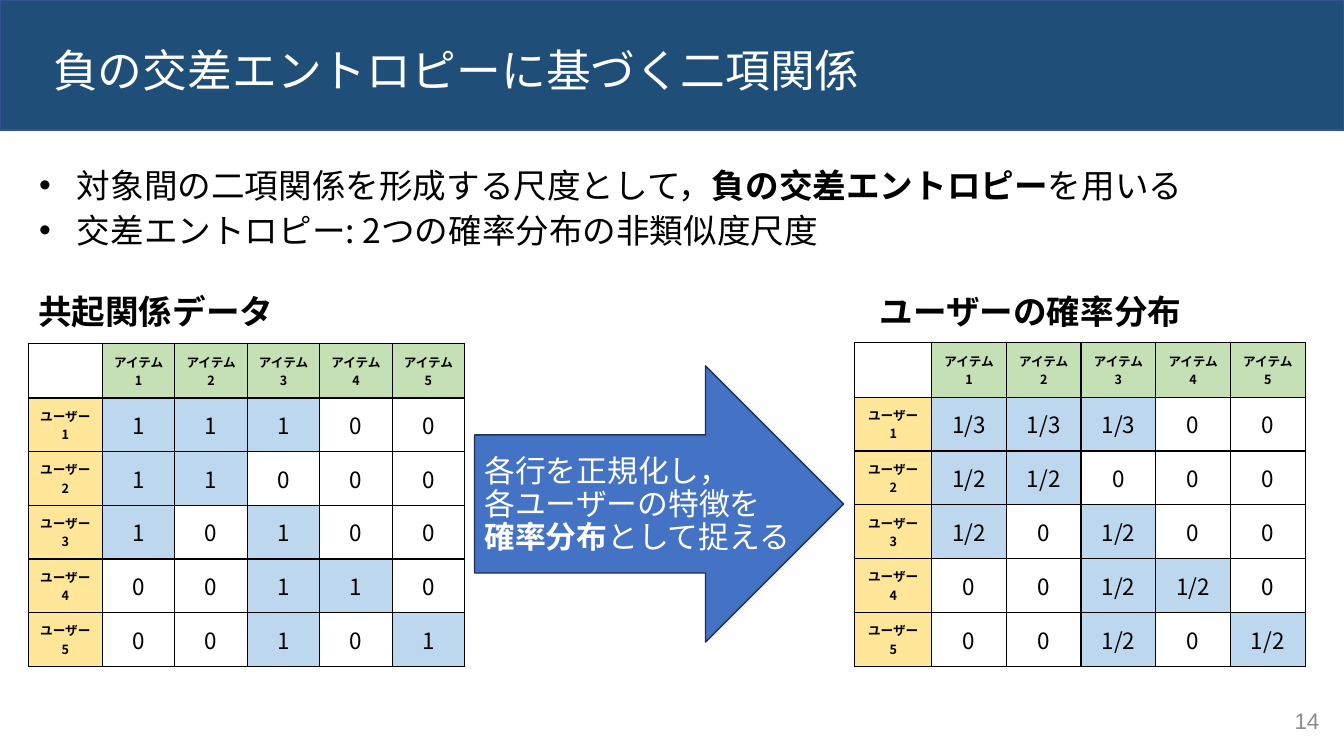
from dataclasses import dataclass
from typing import Optional

from lxml.etree import SubElement
from pptx import Presentation
from pptx.dml.color import RGBColor
from pptx.enum.shapes import MSO_SHAPE
from pptx.enum.text import MSO_ANCHOR, PP_ALIGN
from pptx.oxml.ns import qn
from pptx.util import Cm, Pt


@dataclass(frozen=True)
class Theme:
    japanese: str = "Noto Sans CJK JP"
    latin: str = "Arial"
    banner: str = "1F4E79"
    banner_edge: str = "325491"
    arrow: str = "4472C4"
    arrow_edge: str = "1E3256"
    item: str = "C5E0B4"
    user: str = "FFE699"
    related: str = "BDD7EE"
    black: str = "000000"
    white: str = "FFFFFF"
    gray: str = "8C8C8C"
    title_size: float = 32
    body_size: float = 24
    arrow_size: float = 22
    value_size: float = 16
    label_size: float = 9


@dataclass(frozen=True)
class Box:
    left: float
    top: float
    width: float
    height: float

    def emu(self) -> tuple:
        return Cm(self.left), Cm(self.top), Cm(self.width), Cm(self.height)


@dataclass(frozen=True)
class Style:
    size: float
    color: str
    font: str
    bold: bool = False


@dataclass(frozen=True)
class Caption:
    """Text box; each paragraph is a list of (text, bold) runs."""
    box: Box
    style: Style
    paragraphs: list
    wrap: bool = True
    anchor: MSO_ANCHOR = MSO_ANCHOR.TOP
    align: PP_ALIGN = PP_ALIGN.LEFT
    spacing: Optional[float] = None
    gap: float = 0
    bullets: bool = False


@dataclass(frozen=True)
class Matrix:
    box: Box
    label_width: float
    values: list


THEME = Theme()
BODY = Style(THEME.body_size, THEME.black, THEME.japanese)
HEADING = Style(THEME.body_size, THEME.black, THEME.japanese, True)
LABEL = Style(THEME.label_size, THEME.black, THEME.japanese, True)
VALUE = Style(THEME.value_size, THEME.black, THEME.japanese)
HEADER_HEIGHT = 1.37

COOCCURRENCE = [
    [1, 1, 1, 0, 0],
    [1, 1, 0, 0, 0],
    [1, 0, 1, 0, 0],
    [0, 0, 1, 1, 0],
    [0, 0, 1, 0, 1],
]
# Each row is normalised by its sum
PROBABILITY = [[f"1/{sum(row)}" if hit else 0 for hit in row]
               for row in COOCCURRENCE]

MATRICES = [
    Matrix(Box(0.71, 8.66, 11, 8.13), 1.87, COOCCURRENCE),
    Matrix(Box(21.54, 8.64, 11.35, 8.15), 1.94, PROBABILITY),
]

BACK_CAPTIONS = [
    Caption(Box(1.09, 0.41, 31.8, 2.87),
            Style(THEME.title_size, THEME.white, THEME.japanese),
            [[("負の交差エントロピーに基づく二項関係", False)]],
            anchor=MSO_ANCHOR.MIDDLE, spacing=0.9),
    Caption(Box(25.88, 17.65, 7.62, 1.02),
            Style(16, THEME.gray, THEME.latin), [[("14", False)]],
            anchor=MSO_ANCHOR.MIDDLE, align=PP_ALIGN.RIGHT),
    Caption(Box(0.74, 4.04, 29.69, 2.64), BODY,
            [[("対象間の二項関係を形成する尺度として，", False),
              ("負の交差エントロピー", True), ("を用いる", False)],
             [("交差エントロピー: 2つの確率分布の非類似度尺度", False)]],
            wrap=False, gap=3, bullets=True),
    Caption(Box(0.71, 7.21, 6.5, 1.27), HEADING,
            [[("共起関係データ", True)]], wrap=False),
    Caption(Box(21.92, 7.21, 8.2, 1.27), HEADING,
            [[("ユーザーの確率分布", True)]], wrap=False),
]
ARROW_CAPTION = Caption(
    Box(11.96, 11.35, 8.28, 2.84),
    Style(THEME.arrow_size, THEME.white, THEME.japanese),
    [[("各行を正規化し，", False)],
     [("各ユーザーの特徴を", False)],
     [("確率分布", True), ("として捉える", False)]],
    spacing=Pt(23.6))


def rgb(color: str) -> RGBColor:
    return RGBColor.from_string(color)


def add_run(paragraph, text: str, style: Style, bold: bool) -> None:
    run = paragraph.add_run()
    run.text = text
    run.font.name = style.font
    run.font.size = Pt(style.size)
    run.font.bold = bold
    run.font.color.rgb = rgb(style.color)
    SubElement(run.font._element, qn("a:ea"), typeface=style.font)


def add_bullet(paragraph) -> None:
    properties = paragraph._p.get_or_add_pPr()
    properties.set("marL", str(Cm(0.95)))
    properties.set("indent", str(Cm(-0.95)))
    SubElement(properties, qn("a:buFont"), typeface=THEME.latin)
    SubElement(properties, qn("a:buChar"), char="•")


def add_caption(slide, caption: Caption) -> None:
    frame = slide.shapes.add_textbox(*caption.box.emu()).text_frame
    frame.word_wrap = caption.wrap
    frame.vertical_anchor = caption.anchor
    for index, runs in enumerate(caption.paragraphs):
        paragraph = frame.add_paragraph() if index else frame.paragraphs[0]
        if caption.bullets:
            add_bullet(paragraph)
        paragraph.alignment = caption.align
        if caption.spacing:
            paragraph.line_spacing = caption.spacing
        if index and caption.gap:
            paragraph.space_before = Pt(caption.gap)
        for text, bold in runs:
            add_run(paragraph, text, caption.style, bold)


def add_block(slide, kind: MSO_SHAPE, box: Box, fill: str, edge: str) -> None:
    block = slide.shapes.add_shape(kind, *box.emu())
    block.shadow.inherit = False
    block.fill.solid()
    block.fill.fore_color.rgb = rgb(fill)
    block.line.color.rgb = rgb(edge)
    block.line.width = Pt(1)


def fill_cell(cell, text: str, style: Style, fill: Optional[str]) -> None:
    properties = cell._tc.get_or_add_tcPr()
    for side in ("a:lnL", "a:lnR", "a:lnT", "a:lnB"):
        border = SubElement(properties, qn(side), w=str(Pt(1)))
        solid = SubElement(border, qn("a:solidFill"))
        SubElement(solid, qn("a:srgbClr"), val=THEME.black)
    if fill:
        cell.fill.solid()
        cell.fill.fore_color.rgb = rgb(fill)
    else:
        cell.fill.background()
    cell.vertical_anchor = MSO_ANCHOR.MIDDLE
    if text:
        paragraph = cell.text_frame.paragraphs[0]
        paragraph.alignment = PP_ALIGN.CENTER
        add_run(paragraph, text, style, style.bold)


def add_matrix(slide, matrix: Matrix) -> None:
    users, items = len(matrix.values), len(matrix.values[0])
    table = slide.shapes.add_table(users + 1, items + 1, *matrix.box.emu()).table
    item_width = (matrix.box.width - matrix.label_width) / items
    user_height = (matrix.box.height - HEADER_HEIGHT) / users
    for index, column in enumerate(table.columns):
        column.width = Cm(item_width if index else matrix.label_width)
    for index, row in enumerate(table.rows):
        row.height = Cm(user_height if index else HEADER_HEIGHT)

    fill_cell(table.cell(0, 0), "", LABEL, None)
    for item in range(1, items + 1):
        fill_cell(table.cell(0, item), f"アイテム{item}", LABEL, THEME.item)
    for user, values in enumerate(matrix.values, 1):
        fill_cell(table.cell(user, 0), f"ユーザー{user}", LABEL, THEME.user)
        for item, value in enumerate(values, 1):
            fill_cell(table.cell(user, item), str(value), VALUE,
                      THEME.related if value else None)


def main() -> None:
    presentation = Presentation()
    presentation.slide_width, presentation.slide_height = Cm(33.87), Cm(19.05)
    slide = presentation.slides.add_slide(presentation.slide_layouts[6])

    # Banner, bullets and headings
    add_block(slide, MSO_SHAPE.RECTANGLE, Box(0, 0, 33.87, 3.28),
              THEME.banner, THEME.banner_edge)
    for caption in BACK_CAPTIONS:
        add_caption(slide, caption)

    # Tables before and after normalisation
    for matrix in MATRICES:
        add_matrix(slide, matrix)

    # Arrow between the tables
    add_block(slide, MSO_SHAPE.RIGHT_ARROW, Box(11.96, 9.22, 9.3, 6.96),
              THEME.arrow, THEME.arrow_edge)
    add_caption(slide, ARROW_CAPTION)

    presentation.save("out.pptx")


if __name__ == "__main__":
    main()
